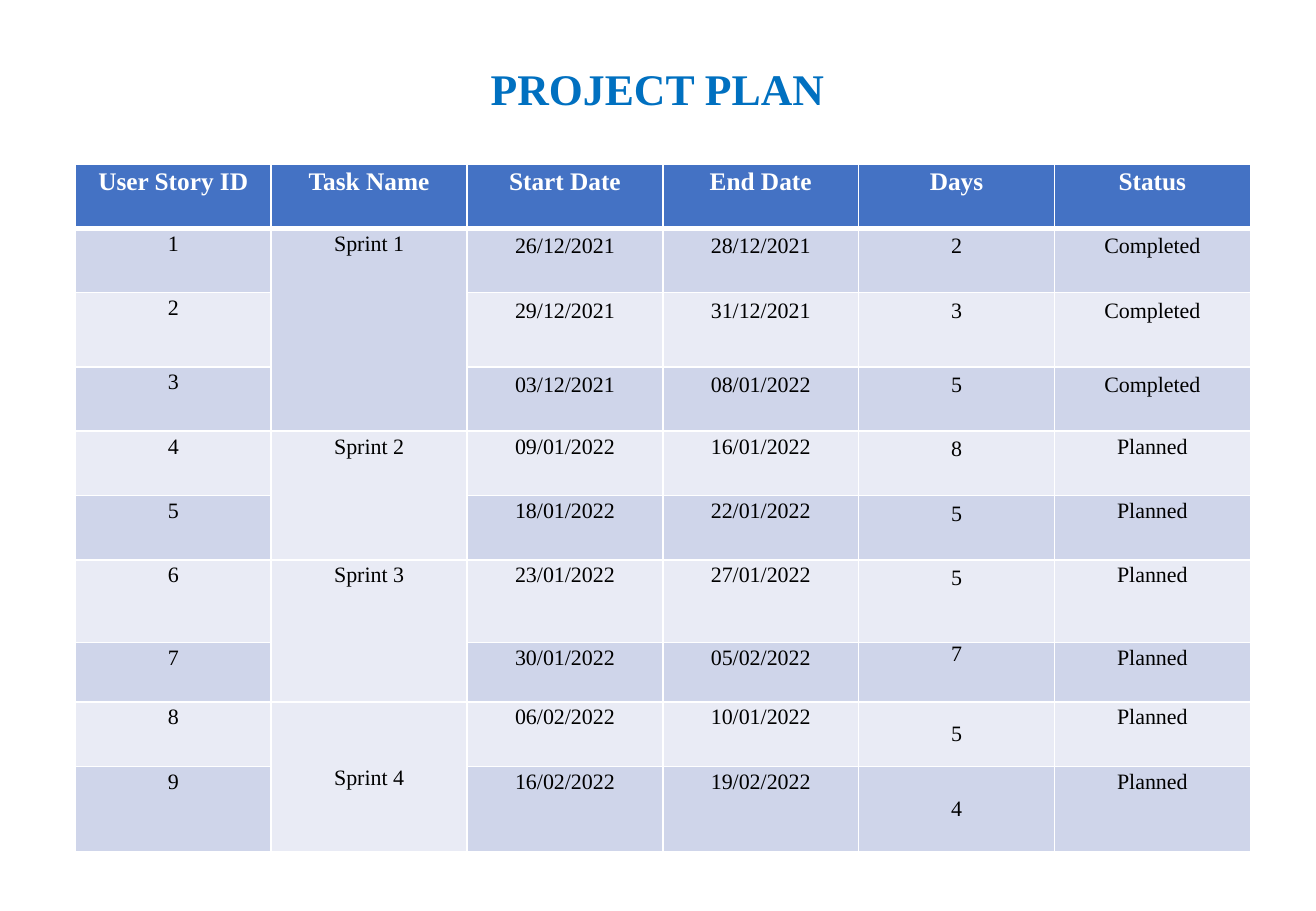
from lxml import etree
from pptx import Presentation
from pptx.dml.color import RGBColor
from pptx.enum import text
from pptx.oxml import ns
from pptx.util import Inches, Pt

TITLE = "PROJECT PLAN"
HEADINGS = ("User Story ID", "Task Name", "Start Date", "End Date", "Days", "Status")
# Sprint name, then its stories: start, end, days, status
SPRINTS = [
    ("Sprint 1", [("26/12/2021", "28/12/2021", 2, "Completed"),
                  ("29/12/2021", "31/12/2021", 3, "Completed"),
                  ("03/12/2021", "08/01/2022", 5, "Completed")]),
    ("Sprint 2", [("09/01/2022", "16/01/2022", 8, "Planned"),
                  ("18/01/2022", "22/01/2022", 5, "Planned")]),
    ("Sprint 3", [("23/01/2022", "27/01/2022", 5, "Planned"),
                  ("30/01/2022", "05/02/2022", 7, "Planned")]),
    ("Sprint 4", [("06/02/2022", "10/01/2022", 5, "Planned"),
                  ("16/02/2022", "19/02/2022", 4, "Planned")]),
]
COLORS = {"title": "0070C0", "header": "4472C4", "odd": "CFD5EA", "even": "E9EBF5",
          "rule": "FFFFFF", "header_text": "FFFFFF", "body_text": "000000"}
FONT = "Times New Roman"
ROW_HEIGHTS = (0.53, 0.53, 0.61, 0.53, 0.53, 0.53, 0.68, 0.49, 0.53, 0.7)
TABLE_LEFT, TABLE_TOP, TABLE_WIDTH = 0.62, 1.35, 9.67
TASK, START, DAYS = 1, 2, 4


def set_font(paragraph, size, color, bold):
    paragraph.alignment = text.PP_ALIGN.CENTER
    paragraph.font.name = FONT
    paragraph.font.size = Pt(size)
    paragraph.font.bold = bold
    paragraph.font.color.rgb = RGBColor.from_string(COLORS[color])


def add_borders(cell, row):
    """Thin white rules, with a thick one between header and body."""
    widths = {"lnL": 1, "lnR": 1, "lnT": 3 if row == 1 else 1, "lnB": 3 if row == 0 else 1}
    properties = cell._tc.get_or_add_tcPr()
    for side, width in widths.items():
        line = etree.SubElement(properties, ns.qn(f"a:{side}"), w=str(Pt(width)))
        fill = etree.SubElement(line, ns.qn("a:solidFill"))
        etree.SubElement(fill, ns.qn("a:srgbClr"), val=COLORS["rule"])


def format_cell(cell, row, column, content):
    is_header = row == 0
    roomy = 1 <= row <= 3 and column >= START or 1 <= row <= 6 and column == DAYS
    cell.text = str(content)
    cell.margin_left = cell.margin_right = Inches(0.1 if roomy else 0.07)
    cell.margin_top = cell.margin_bottom = Inches(0.05 if roomy else 0)
    centred = row >= 8 and column in (TASK, DAYS)
    cell.vertical_anchor = text.MSO_ANCHOR.MIDDLE if centred else text.MSO_ANCHOR.TOP
    paragraph = cell.text_frame.paragraphs[0]
    single_spaced = roomy or column == DAYS and not is_header
    paragraph.line_spacing = 1.0 if single_spaced else 1.15
    if is_header:
        set_font(paragraph, 15, "header_text", True)
    else:
        set_font(paragraph, 13, "body_text", False)
    add_borders(cell, row)
    band = "header" if is_header else "odd" if row % 2 else "even"
    cell.fill.solid()
    cell.fill.fore_color.rgb = RGBColor.from_string(COLORS[band])


def main():
    deck = Presentation()
    deck.slide_width, deck.slide_height = Inches(10.83), Inches(7.5)
    slide = deck.slides.add_slide(deck.slide_layouts[5])

    title = slide.shapes.title
    title.left, title.top = Inches(1.1), Inches(0.29)
    title.width, title.height = Inches(8.62), Inches(0.92)
    title.text_frame.text = TITLE
    title.text_frame.vertical_anchor = text.MSO_ANCHOR.MIDDLE
    heading = title.text_frame.paragraphs[0]
    heading.line_spacing = 0.9
    set_font(heading, 25.9, "title", True)

    plan = slide.shapes.add_table(
        len(ROW_HEIGHTS), len(HEADINGS), Inches(TABLE_LEFT), Inches(TABLE_TOP),
        Inches(TABLE_WIDTH), Inches(sum(ROW_HEIGHTS))).table
    for plan_row, height in zip(plan.rows, ROW_HEIGHTS):
        plan_row.height = Inches(height)

    rows = [HEADINGS]
    for sprint, stories in SPRINTS:
        first = len(rows)
        for index, story in enumerate(stories):
            rows.append((len(rows), "" if index else sprint, *story))
        plan.cell(first, TASK).merge(plan.cell(len(rows) - 1, TASK))
    for row, contents in enumerate(rows):
        for column, content in enumerate(contents):
            format_cell(plan.cell(row, column), row, column, content)

    deck.save("out.pptx")


if __name__ == "__main__":
    main()
